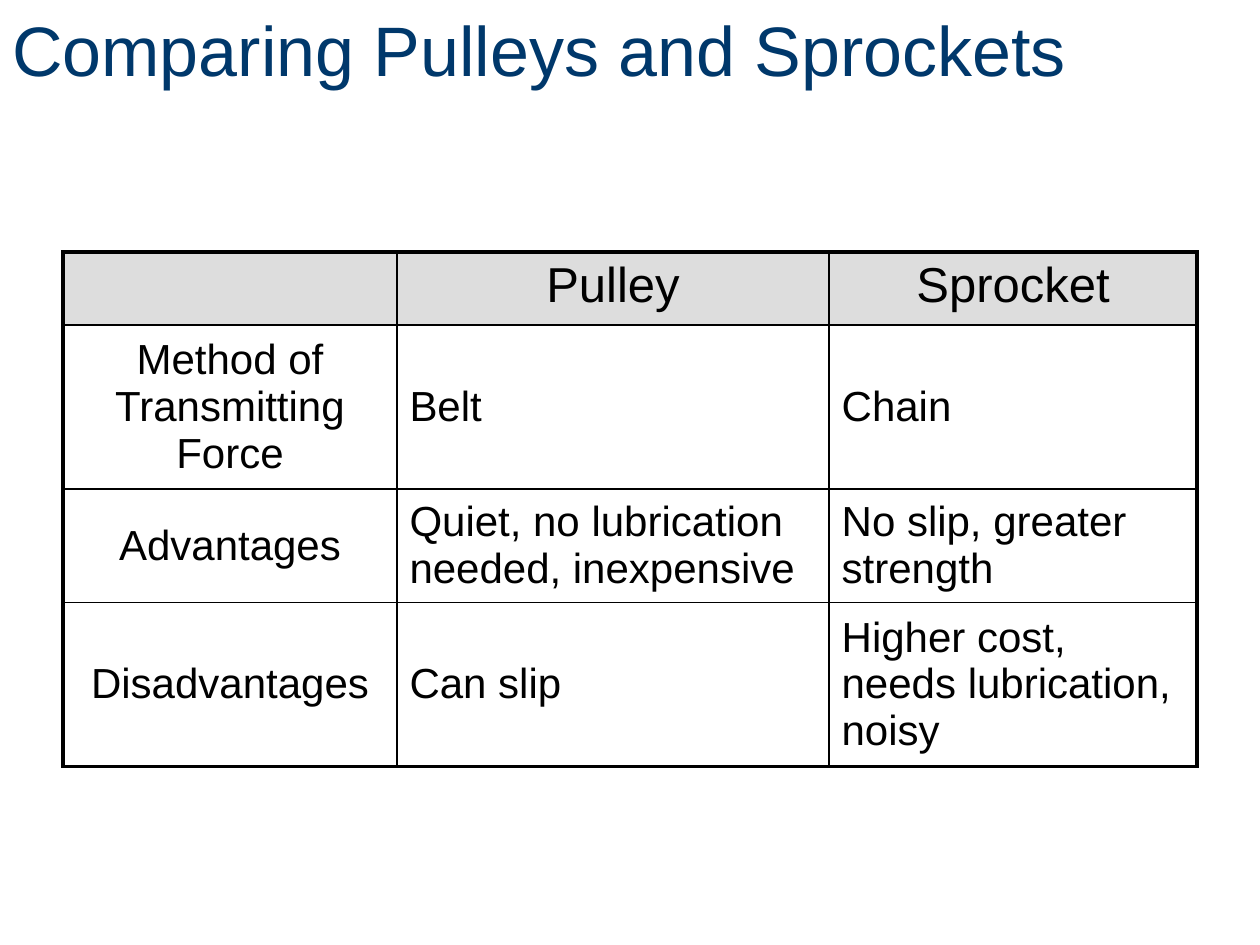
from dataclasses import dataclass
from lxml.etree import SubElement as Sub
from pptx import Presentation
from pptx.dml.color import RGBColor as RGB
from pptx.enum.text import MSO_ANCHOR as ANCHOR, PP_ALIGN as ALIGN
from pptx.oxml.ns import qn
from pptx.util import Inches, Pt

TITLE = "Comparing Pulleys and Sprockets"
ROWS = [
    ("", "Pulley", "Sprocket"),
    ("Method of Transmitting Force", "Belt", "Chain"),
    ("Advantages", "Quiet, no lubrication needed, inexpensive",
     "No slip, greater strength"),
    ("Disadvantages", "Can slip", "Higher cost, needs lubrication, noisy"),
]
COL_WIDTHS = [2.65, 3.43, 2.92]
ROW_HEIGHTS = [0.58, 1.21, 0.85, 1.21]


@dataclass(frozen=True)
class Theme:
    font: str = "Arial"
    title: str = "00386B"
    text: str = "000000"
    header_fill: str = "DDDDDD"
    border: str = "000000"
    title_size: int = 40
    header_size: int = 28
    body_size: int = 24
    outer: float = 2.25
    inner: float = 1


T = Theme()


def style(p, size, color, align=ALIGN.LEFT):
    p.alignment = align
    for r in p.runs:
        r.font.name, r.font.size = T.font, Pt(size)
        r.font.color.rgb = RGB.from_string(color)


def add_borders(cell, edges):
    tcPr = cell._tc.get_or_add_tcPr()
    for side, is_outer in edges.items():
        width = Pt(T.outer if is_outer else T.inner)
        ln = Sub(tcPr, qn(f"a:ln{side}"), w=str(int(width)))
        Sub(Sub(ln, qn("a:solidFill")), qn("a:srgbClr"), val=T.border)


def add_title(s, width, height):
    tf = s.shapes.add_textbox(0, 0, width, height).text_frame
    tf.word_wrap = True
    tf.text = TITLE
    style(tf.paragraphs[0], T.title_size, T.title)


def add_comparison(s, left, top):
    n_rows, n_cols = len(ROWS), len(COL_WIDTHS)
    table = s.shapes.add_table(n_rows, n_cols, left, top, Inches(sum(COL_WIDTHS)),
                               Inches(sum(ROW_HEIGHTS))).table
    table.first_row = table.horz_banding = False
    for col, width in zip(table.columns, COL_WIDTHS):
        col.width = Inches(width)
    for row, height in zip(table.rows, ROW_HEIGHTS):
        row.height = Inches(height)
    for i, texts in enumerate(ROWS):
        for j, text in enumerate(texts):
            cell, header = table.cell(i, j), i == 0
            cell.text_frame.text = text
            cell.vertical_anchor = ANCHOR.TOP if header else ANCHOR.MIDDLE
            style(cell.text_frame.paragraphs[0],
                  T.header_size if header else T.body_size, T.text,
                  ALIGN.CENTER if header or j == 0 else ALIGN.LEFT)
            add_borders(cell, {"L": j == 0, "R": j == n_cols - 1,
                               "T": header, "B": i == n_rows - 1})
            if header:
                cell.fill.solid()
                cell.fill.fore_color.rgb = RGB.from_string(T.header_fill)
            else:
                cell.fill.background()


def main():
    prs = Presentation()
    prs.slide_width, prs.slide_height = Inches(10), Inches(7.5)
    s = prs.slides.add_slide(prs.slide_layouts[6])
    add_title(s, int(prs.slide_width * 0.9), prs.slide_height // 6)
    add_comparison(s, prs.slide_width // 20, Inches(2))
    prs.save("out.pptx")


if __name__ == "__main__":
    main()
